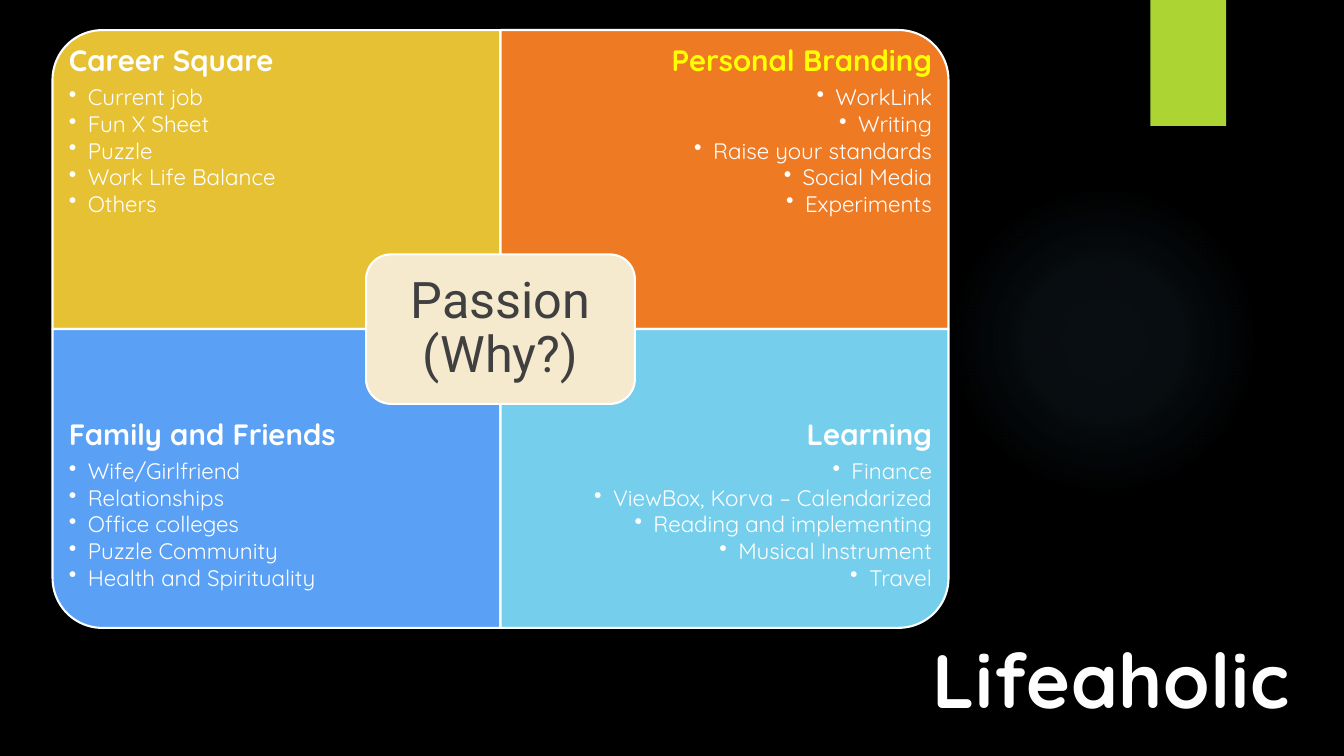
import pptx
import pptx.dml.color
import pptx.enum.shapes
import pptx.enum.text
import pptx.oxml
import pptx.oxml.ns
import pptx.util

Pt = pptx.util.Pt
SHAPE = pptx.enum.shapes.MSO_SHAPE
ALIGN = pptx.enum.text.PP_ALIGN
ANCHOR = pptx.enum.text.MSO_ANCHOR
NAMESPACE = pptx.oxml.ns.nsdecls("a")
COLORS = {
    "background": "000000", "white": "FFFFFF", "title": "FEFEFE",
    "yellow": "FFFF00", "dark": "404040", "lime": "ACD433", "glow": "7AC4F0",
    "career": "E6C133", "branding": "EF7A24", "family": "5AA0F5",
    "learning": "75CEEC", "passion": "F5E9CE",
}


def rgb(name):
    return pptx.dml.color.RGBColor.from_string(COLORS[name])


def add_text(frame, text, size, color="white", font="Quicksand", bold=False,
             align=ALIGN.LEFT, line=0.9, after=0, bullet=False):
    """Fill the empty first paragraph, or append a new one."""
    para = frame.paragraphs[-1]
    if para.runs:
        para = frame.add_paragraph()
    para.alignment, para.line_spacing, para.space_after = align, line, Pt(after)
    if bullet:
        para.level = 1
        properties = para._p.get_or_add_pPr()
        properties.set("marL", str(Pt(13.5)))
        properties.set("indent", str(-Pt(13.5)))
        properties.append(pptx.oxml.parse_xml(f'<a:buChar {NAMESPACE} char="•"/>'))
    span = para.add_run()
    span.text = text
    span.font.size, span.font.name, span.font.bold = Pt(size), font, bold
    span.font.color.rgb = rgb(color)
    return span


deck = pptx.Presentation()
deck.slide_width, deck.slide_height = Pt(960), Pt(540)
page = deck.slides.add_slide(deck.slide_layouts[6])
page.background.fill.solid()
page.background.fill.fore_color.rgb = rgb("background")

# Faint glow on the right
glow = page.shapes.add_shape(SHAPE.OVAL, Pt(677.5), Pt(132), Pt(222), Pt(222))
glow.shadow.inherit = False
glow.line.fill.background()
stops = "".join(
    f'<a:gs pos="{position * 1000}"><a:srgbClr val="{COLORS["glow"]}">'
    f'<a:alpha val="{alpha * 1000}"/></a:srgbClr></a:gs>'
    for position, alpha in [(0, 7), (36, 6), (69, 0)])
gradient = pptx.oxml.parse_xml(
    f'<a:gradFill {NAMESPACE}><a:gsLst>{stops}</a:gsLst><a:path path="circle">'
    '<a:fillToRect l="50000" t="50000" r="50000" b="50000"/></a:path></a:gradFill>')
glow._element.spPr.find(pptx.oxml.ns.qn("a:prstGeom")).addnext(gradient)

# Lime tab at the top
tab = page.shapes.add_shape(SHAPE.RECTANGLE, Pt(821.75), Pt(0), Pt(54), Pt(90))
tab.shadow.inherit = False
tab.fill.solid()
tab.fill.fore_color.rgb = rgb("lime")
tab.line.fill.background()

# Four quadrants: colour, column, row, rotation, heading colour, heading, items
LEFT, TOP, WIDTH, HEIGHT, TEXT_HEIGHT = 37.5, 21.5, 320, 213.5, 160
QUADRANTS = [
    ("career", 0, 0, 270, "white", "Career Square",
     ["Current job", "Fun X Sheet", "Puzzle", "Work Life Balance", "Others"]),
    ("branding", 1, 0, 0, "yellow", "Personal Branding",
     ["WorkLink", "Writing", "Raise your standards", "Social Media", "Experiments"]),
    ("family", 0, 1, 180, "white", "Family and Friends",
     ["Wife/Girlfriend", "Relationships", "Office colleges", "Puzzle Community",
      "Health and Spirituality"]),
    ("learning", 1, 1, 90, "white", "Learning",
     ["Finance", "ViewBox, Korva – Calendarized", "Reading and implementing",
      "Musical Instrument", "Travel"]),
]
for color, column, row, rotation, heading_color, heading, items in QUADRANTS:
    left, top = LEFT + column * WIDTH, TOP + row * HEIGHT
    # A quarter turn swaps width and height around the same centre
    width, height = (HEIGHT, WIDTH) if rotation % 180 else (WIDTH, HEIGHT)
    quadrant = page.shapes.add_shape(
        SHAPE.ROUND_1_RECTANGLE, Pt(left + (WIDTH - width) / 2),
        Pt(top + (HEIGHT - height) / 2), Pt(width), Pt(height))
    quadrant.rotation = rotation
    quadrant.shadow.inherit = False
    quadrant.fill.solid()
    quadrant.fill.fore_color.rgb = rgb(color)
    quadrant.line.color.rgb = rgb("white")
    quadrant.line.width = Pt(1.5)

    text_top = top + row * (HEIGHT - TEXT_HEIGHT)
    box = page.shapes.add_textbox(Pt(left), Pt(text_top), Pt(WIDTH), Pt(TEXT_HEIGHT))
    frame = box.text_frame
    frame.word_wrap = True
    frame.margin_left = frame.margin_right = Pt(11.75)
    frame.margin_top = frame.margin_bottom = Pt(11.75)
    align = ALIGN.RIGHT if column else ALIGN.LEFT
    add_text(frame, heading, 21, color=heading_color, bold=True, align=align, after=6)
    for item in items:
        add_text(frame, item, 16, align=align, after=1.7, bullet=True)

# Centre card
card = page.shapes.add_shape(SHAPE.ROUNDED_RECTANGLE, Pt(261.5), Pt(181.75), Pt(192), Pt(106.75))
card.shadow.inherit = False
card.fill.solid()
card.fill.fore_color.rgb = rgb("passion")
card.line.color.rgb = rgb("white")
card.line.width = Pt(1.5)
frame = card.text_frame
frame.word_wrap = True
frame.vertical_anchor = ANCHOR.MIDDLE
frame.margin_left = frame.margin_right = Pt(16)
frame.margin_top = frame.margin_bottom = Pt(10.8)
add_text(frame, "Passion (Why?)", 36, color="dark", font="Roboto", align=ALIGN.CENTER)

# Title with a thin lime outline
box = page.shapes.add_textbox(Pt(658), Pt(448.5), Pt(271.5), Pt(72.75))
box.text_frame.word_wrap = False
box.text_frame.auto_size = pptx.enum.text.MSO_AUTO_SIZE.SHAPE_TO_FIT_TEXT
title = add_text(box.text_frame, "Lifeaholic", 54, color="title", bold=True,
                 align=ALIGN.CENTER, line=1.0)
properties = title._r.get_or_add_rPr()
properties.set("spc", "50")
properties.insert(0, pptx.oxml.parse_xml(
    f'<a:ln {NAMESPACE} w="{Pt(0.75)}"><a:solidFill>'
    f'<a:srgbClr val="{COLORS["lime"]}"/></a:solidFill></a:ln>'))

deck.save("out.pptx")
